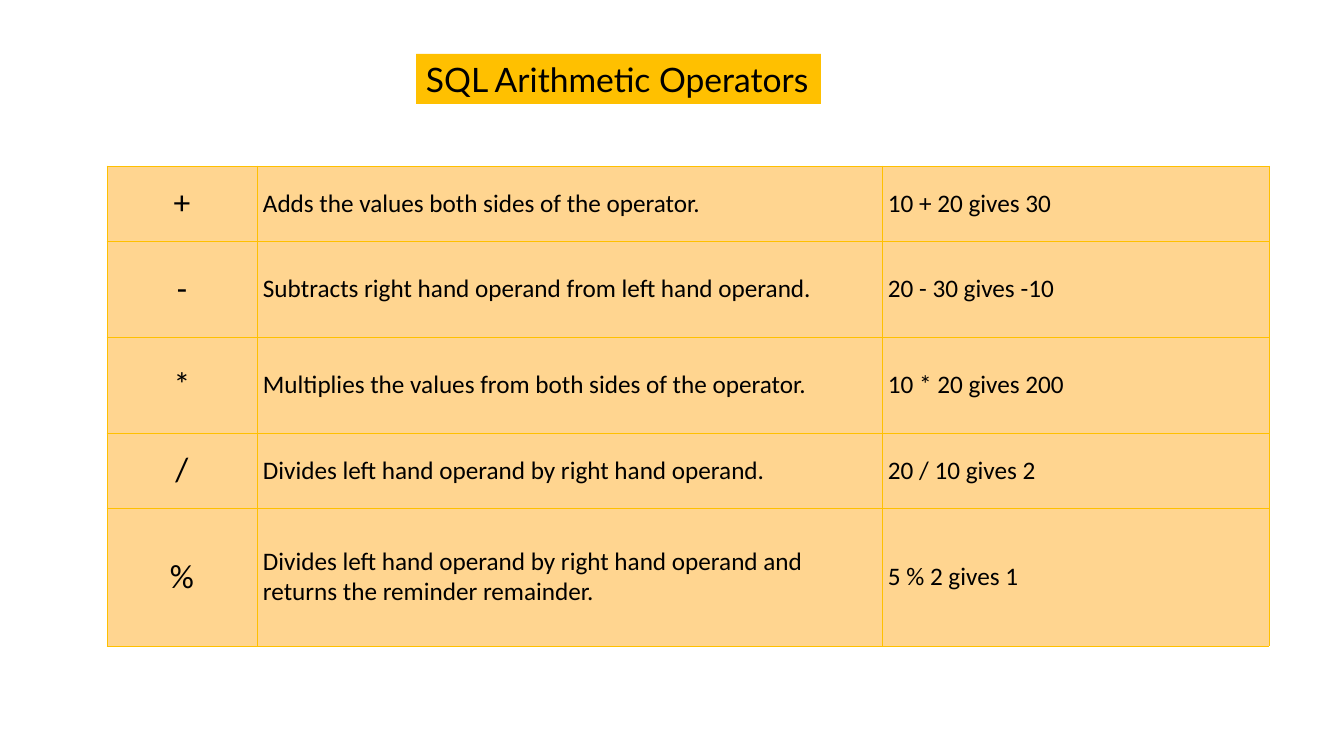
from dataclasses import dataclass

from lxml.etree import SubElement
from pptx import Presentation
from pptx.dml.color import RGBColor
from pptx.enum.shapes import MSO_SHAPE
from pptx.enum.text import MSO_ANCHOR as Anchor, MSO_AUTO_SIZE as AutoSize, PP_ALIGN as Align
from pptx.oxml.ns import qn
from pptx.util import Emu, Inches, Pt

PX_PER_INCH = 100.8


@dataclass(frozen=True)
class Theme:
    accent: str = "FFC000"
    cell: str = "FFD590"
    ink: str = "000000"
    title_font: str = "Lato"
    table_font: str = "Calibri"
    large: int = 24
    body: int = 18
    border: float = 0.5


THEME = Theme()
COLUMN_WIDTHS = (150, 625, 387)
ROW_HEIGHTS = (75, 96, 96, 75, 138)
CELL_INSET = 6
OPERATORS = (
    ("+", "Adds the values both sides of the operator.", "10 + 20 gives 30"),
    ("-", "Subtracts right hand operand from left hand operand.", "20 - 30 gives -10"),
    ("*", "Multiplies the values from both sides of the operator.", "10 * 20 gives 200"),
    ("/", "Divides left hand operand by right hand operand.", "20 / 10 gives 2"),
    ("%", "Divides left hand operand by right hand operand and returns the reminder remainder.",
     "5 % 2 gives 1"),
)


def px(length):
    return Emu(round(Inches(length) / PX_PER_INCH))


def fill_solid(target, color):
    target.fill.solid()
    target.fill.fore_color.rgb = RGBColor.from_string(color)


def write_text(text_frame, text, font, size, align=Align.LEFT):
    text_frame.text = text
    paragraph = text_frame.paragraphs[0]
    paragraph.alignment = align
    for run in paragraph.runs:
        run.font.name = font
        run.font.size = Pt(size)
        run.font.color.rgb = RGBColor.from_string(THEME.ink)


def add_title(slide, text, left, top, width, height):
    shape = slide.shapes.add_shape(
        MSO_SHAPE.RECTANGLE, px(left), px(top), px(width), px(height))
    shape.shadow.inherit = False
    fill_solid(shape, THEME.accent)
    shape.line.fill.background()
    shape.text_frame.word_wrap = False
    shape.text_frame.auto_size = AutoSize.SHAPE_TO_FIT_TEXT
    write_text(shape.text_frame, text, THEME.title_font, THEME.large)


def draw_borders(cell):
    properties = cell._tc.get_or_add_tcPr()
    for side in ("a:lnL", "a:lnR", "a:lnT", "a:lnB"):
        line = SubElement(properties, qn(side), w=str(Pt(THEME.border)))
        fill = SubElement(line, qn("a:solidFill"))
        SubElement(fill, qn("a:srgbClr"), val=THEME.accent)


def format_cell(cell, text, is_symbol):
    draw_borders(cell)
    fill_solid(cell, THEME.cell)
    cell.vertical_anchor = Anchor.MIDDLE
    cell.margin_left = cell.margin_right = px(CELL_INSET)
    cell.margin_top = cell.margin_bottom = px(CELL_INSET)
    size = THEME.large if is_symbol else THEME.body
    align = Align.CENTER if is_symbol else Align.LEFT
    write_text(cell.text_frame, text, THEME.table_font, size, align)


def add_operator_table(slide, left, top):
    table = slide.shapes.add_table(
        len(ROW_HEIGHTS), len(COLUMN_WIDTHS), px(left), px(top),
        px(sum(COLUMN_WIDTHS)), px(sum(ROW_HEIGHTS))).table
    table.first_row = False
    table.horz_banding = False
    for column, width in zip(table.columns, COLUMN_WIDTHS):
        column.width = px(width)
    for row, height, texts in zip(table.rows, ROW_HEIGHTS, OPERATORS):
        row.height = px(height)
        for index, (cell, text) in enumerate(zip(row.cells, texts)):
            format_cell(cell, text, is_symbol=index == 0)


def main():
    presentation = Presentation()
    presentation.slide_width = px(1344)
    presentation.slide_height = px(756)
    slide = presentation.slides.add_slide(presentation.slide_layouts[6])
    add_title(slide, "SQL Arithmetic Operators", 416, 54, 405, 50)
    add_operator_table(slide, 107, 166)
    presentation.save("out.pptx")


if __name__ == "__main__":
    main()
